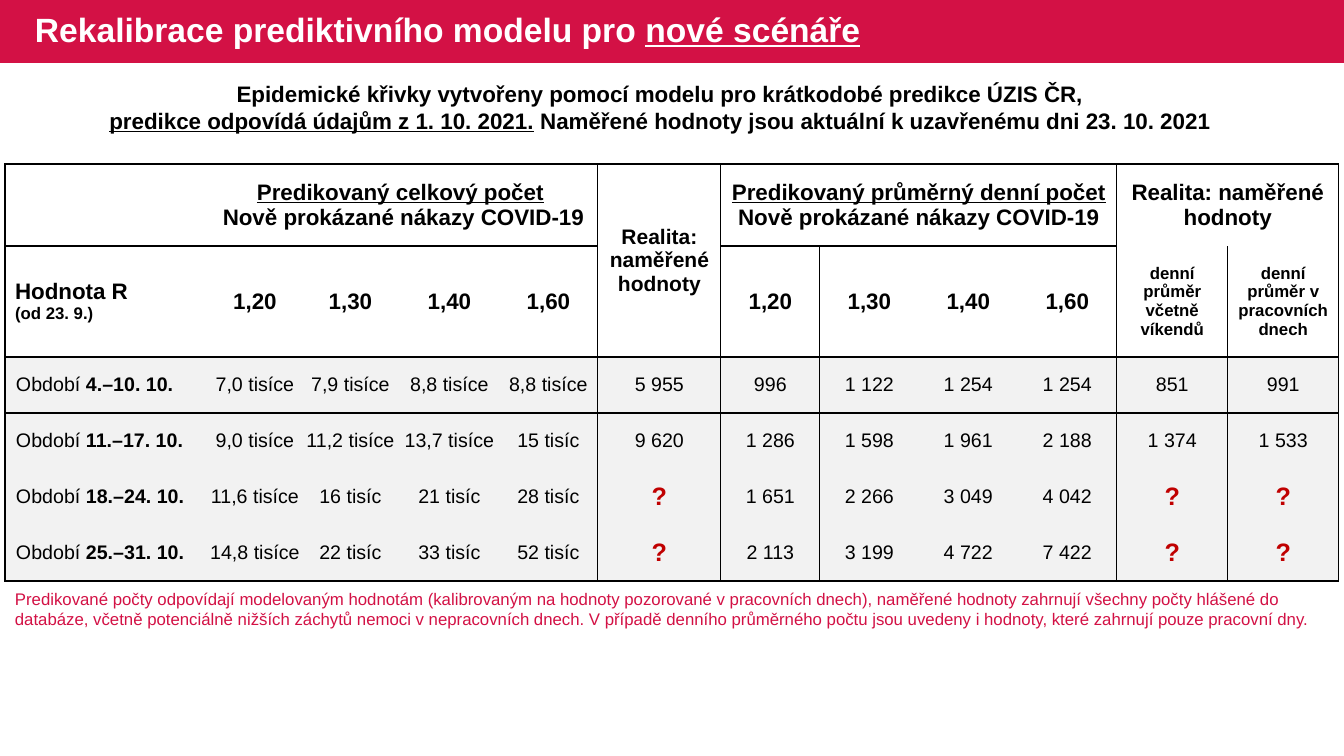
from lxml.etree import SubElement
from pptx import Presentation
from pptx.dml.color import RGBColor
from pptx.enum.shapes import MSO_SHAPE
from pptx.enum.text import MSO_ANCHOR, PP_ALIGN
from pptx.oxml.ns import qn
from pptx.util import Emu, Pt

PX = 914400 / 100.8
CRIMSON, BLACK, WHITE, GREY, RED = "D31145", "000000", "FFFFFF", "F2F2F2", "C00000"
LEFT, CENTER = PP_ALIGN.LEFT, PP_ALIGN.CENTER


def px(*lengths):
    """Turn pixel lengths into a list of EMU."""
    return [Emu(round(length * PX)) for length in lengths]


def write(frame, paragraphs, size, color=BLACK, bold=False, align=CENTER):
    """Fill a text frame; a paragraph is a list of (text, run font settings)."""
    frame.word_wrap = True
    for index, runs in enumerate(paragraphs):
        paragraph = frame.add_paragraph() if index else frame.paragraphs[0]
        paragraph.alignment = align
        font = paragraph.font
        font.name, font.size, font.bold = "Arial", Pt(size), bold
        font.color.rgb = RGBColor.from_string(color)
        for text, settings in runs:
            for number, line in enumerate(text.split("\n")):
                if number:
                    paragraph.add_line_break()
                if line:
                    run = paragraph.add_run()
                    run.text = line
                    for name, value in settings.items():
                        setattr(run.font, name, value)


presentation = Presentation()
presentation.slide_width, presentation.slide_height = px(1344, 756)
slide = presentation.slides.add_slide(presentation.slide_layouts[6])
shapes = slide.shapes
underlined = {"underline": True}

# Title band
band = shapes.add_shape(MSO_SHAPE.RECTANGLE, *px(0, 0, 1344, 63))
band.shadow.inherit = False
band.fill.solid()
band.fill.fore_color.rgb = RGBColor.from_string(CRIMSON)
band.line.fill.background()

title = shapes.add_textbox(*px(25, 0, 1296, 63)).text_frame
title.vertical_anchor = MSO_ANCHOR.MIDDLE
write(title, [[("Rekalibrace prediktivního modelu pro ", {}), ("nové scénáře", underlined)]],
      24, WHITE, True, LEFT)
title.paragraphs[0].line_spacing = 0.9

subtitle = shapes.add_textbox(*px(-19, 75, 1358, 65)).text_frame
write(subtitle, [[
    ("Epidemické křivky vytvořeny pomocí modelu pro krátkodobé predikce ÚZIS ČR,\n", {}),
    ("predikce odpovídá údajům z 1. 10. 2021.", underlined),
    (" Naměřené hodnoty jsou aktuální k uzavřenému dni 23. 10. 2021", {}),
]], 16, bold=True)

# Table grid
column_widths = px(204, 92, 99, 99, 99, 123, 99, 99, 99, 99, 111, 111)
row_heights = px(82, 111, 56, 56, 56, 56)
table = shapes.add_table(len(row_heights), len(column_widths), *px(5, 164, 1334, 417)).table
table.first_row = table.horz_banding = False
for column, width in zip(table.columns, column_widths):
    column.width = width
for row, height in zip(table.rows, row_heights):
    row.height = height
for top, left, bottom, right in [(0, 1, 0, 4), (0, 5, 1, 5), (0, 6, 0, 9), (0, 10, 0, 11)]:
    table.cell(top, left).merge(table.cell(bottom, right))

# Borders: vertical edges with the row where each starts, horizontal edges with their gaps
vertical_starts = {0: 0, 5: 0, 6: 0, 7: 1, 10: 0, 11: 1, 12: 0}
horizontal_gaps = {0: (), 1: (5, 10, 11), 2: (), 3: (), 6: ()}
for r in range(len(row_heights)):
    for c in range(len(column_widths)):
        cell = table.cell(r, c)
        cell.vertical_anchor = MSO_ANCHOR.MIDDLE
        properties = cell._tc.get_or_add_tcPr()
        edges = [("a:lnL", c, None), ("a:lnR", c + cell.span_width, None),
                 ("a:lnT", None, r), ("a:lnB", None, r + cell.span_height)]
        for tag, x, y in edges:
            if y is None:
                drawn = r >= vertical_starts.get(x, len(row_heights))
            else:
                drawn = y in horizontal_gaps and c not in horizontal_gaps[y]
            border = SubElement(properties, qn(tag), w=str(Pt(1)))
            if drawn:
                fill = SubElement(border, qn("a:solidFill"))
                SubElement(fill, qn("a:srgbClr"), val=BLACK)
            else:
                SubElement(border, qn("a:noFill"))
        if r < 2:
            cell.fill.background()
        else:
            cell.fill.solid()
            cell.fill.fore_color.rgb = RGBColor.from_string(GREY)

# Header rows
measured = [[("Realita: naměřené", {})], [("hodnoty", {})]]
headers = [
    (0, 1, 16, [[("Predikovaný celkový počet", underlined),
                 (" \nNově prokázané nákazy COVID-19", {})]]),
    (0, 5, 15, measured),
    (0, 6, 16, [[("Predikovaný průměrný denní počet", underlined),
                 (" Nově prokázané nákazy COVID-19", {})]]),
    (0, 10, 16, measured),
    (1, 10, 12, [[("denní průměr včetně víkendů", {})]]),
    (1, 11, 12, [[("denní průměr v pracovních dnech", {})]]),
]
for r, c, size, paragraphs in headers:
    write(table.cell(r, c).text_frame, paragraphs, size, bold=True)
write(table.cell(1, 0).text_frame, [[("Hodnota R\n", {}), ("(od 23. 9.)", {"size": Pt(12)})]],
      16, bold=True, align=LEFT)
for first_column in (1, 6):
    for offset, reproduction in enumerate(["1,20", "1,30", "1,40", "1,60"]):
        cell = table.cell(1, first_column + offset)
        cell.margin_left, cell.margin_right, cell.margin_top, cell.margin_bottom = px(1, 1, 1, 0)
        write(cell.text_frame, [[(reproduction, {})]], 16, bold=True)

# Weekly rows
weeks = [
    ("4.–10. 10.", "7,0 tisíce", "7,9 tisíce", "8,8 tisíce", "8,8 tisíce", "5 955",
     "996", "1 122", "1 254", "1 254", "851", "991"),
    ("11.–17. 10.", "9,0 tisíce", "11,2 tisíce", "13,7 tisíce", "15 tisíc", "9 620",
     "1 286", "1 598", "1 961", "2 188", "1 374", "1 533"),
    ("18.–24. 10.", "11,6 tisíce", "16 tisíc", "21 tisíc", "28 tisíc", "?",
     "1 651", "2 266", "3 049", "4 042", "?", "?"),
    ("25.–31. 10.", "14,8 tisíce", "22 tisíc", "33 tisíc", "52 tisíc", "?",
     "2 113", "3 199", "4 722", "7 422", "?", "?"),
]
for r, (period, *values) in enumerate(weeks, start=2):
    cell = table.cell(r, 0)
    cell.margin_left, cell.margin_right = px(11, 1)
    write(cell.text_frame, [[("Období ", {}), (period, {"bold": True})]], 14, align=LEFT)
    for c, value in enumerate(values, start=1):
        cell = table.cell(r, c)
        cell.margin_left = cell.margin_right = cell.margin_top = cell.margin_bottom = 0
        unknown = value == "?"
        write(cell.text_frame, [[(value, {})]], 18 if unknown else 14,
              RED if unknown else BLACK, unknown)

# Footnote
footnote = shapes.add_textbox(*px(5, 584, 1333, 50)).text_frame
write(footnote, [[(
    "Predikované počty odpovídají modelovaným hodnotám (kalibrovaným na hodnoty pozorované "
    "v pracovních dnech), naměřené hodnoty zahrnují všechny počty hlášené do databáze, včetně "
    "potenciálně nižších záchytů nemoci v nepracovních dnech. V případě denního průměrného "
    "počtu jsou uvedeny i hodnoty, které zahrnují pouze pracovní dny.", {})]],
    12, CRIMSON, align=LEFT)

presentation.save("out.pptx")
